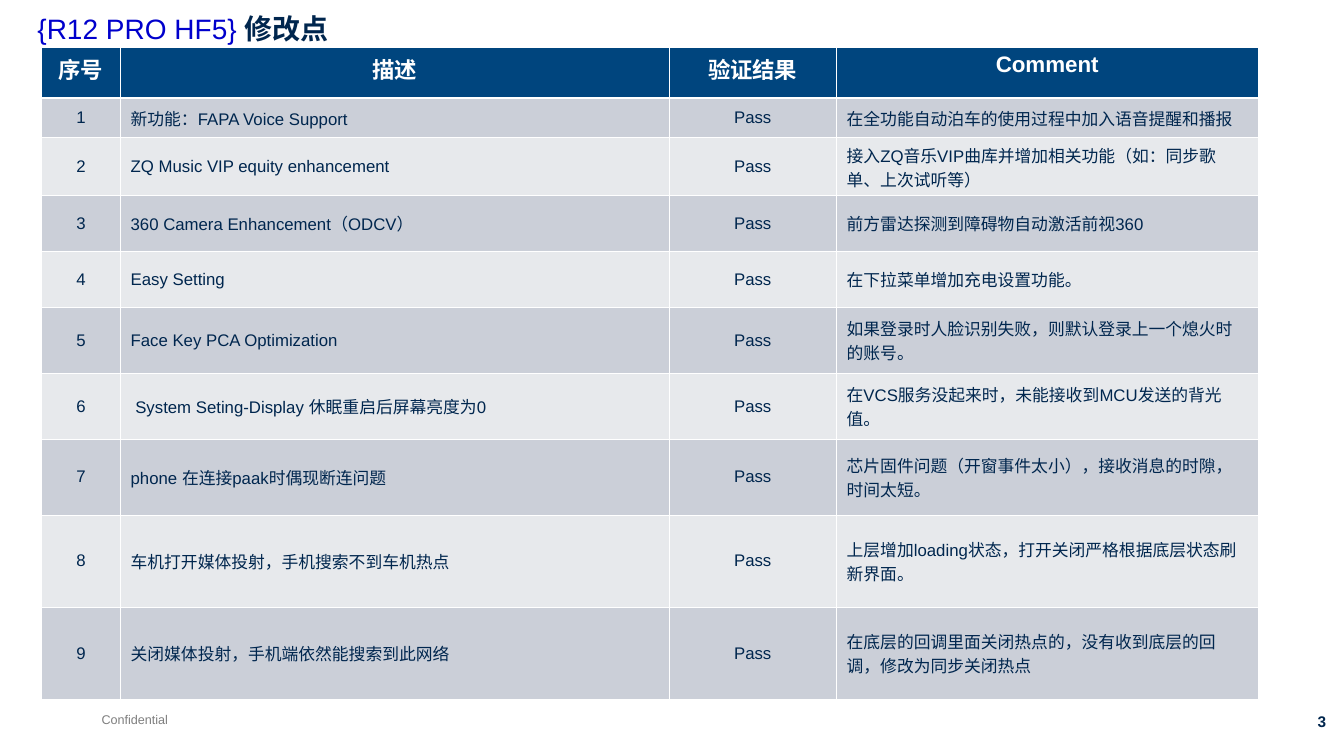
from pptx import Presentation
from pptx.dml.color import RGBColor
from pptx.enum import text as t
from pptx.oxml import parse_xml
from pptx.oxml import ns
from pptx.util import Cm, Pt

HUES = {"navy": "00264E", "blue": "0000CC", "head": "00457E", "odd": "CBCFD8",
        "even": "E7E9EC", "white": "FFFFFF", "gray": "7F7F7F"}
LEFT, MID, RIGHT = t.PP_ALIGN.LEFT, t.PP_ALIGN.CENTER, t.PP_ALIGN.RIGHT
HEADS = ["序号", "描述", "验证结果", "Comment"]
ITEMS = [
    ("新功能：FAPA Voice Support", "在全功能自动泊车的使用过程中加入语音提醒和播报"),
    ("ZQ Music VIP equity enhancement", "接入ZQ音乐VIP曲库并增加相关功能（如：同步歌单、上次试听等）"),
    ("360 Camera Enhancement（ODCV）", "前方雷达探测到障碍物自动激活前视360"),
    ("Easy Setting", "在下拉菜单增加充电设置功能。"),
    ("Face Key PCA Optimization", "如果登录时人脸识别失败，则默认登录上一个熄火时的账号。"),
    (" System Seting-Display 休眠重启后屏幕亮度为0", "在VCS服务没起来时，未能接收到MCU发送的背光值。"),
    ("phone 在连接paak时偶现断连问题", "芯片固件问题（开窗事件太小），接收消息的时隙，时间太短。"),
    ("车机打开媒体投射，手机搜索不到车机热点", "上层增加loading状态，打开关闭严格根据底层状态刷新界面。"),
    ("关闭媒体投射，手机端依然能搜索到此网络", "在底层的回调里面关闭热点的，没有收到底层的回调，修改为同步关闭热点"),
]
COLS = [2.0, 13.82, 4.23, 10.62]
ROWS = [1.28, 1.0, 1.46, 1.41, 1.4, 1.67, 1.65, 1.92, 2.32, 2.32]


def write(para, words, size, hue, bold=False):
    """Add one styled run to a paragraph."""
    run = para.add_run()
    run.text = words
    font = run.font
    font.name, font.size, font.bold = "Arial", Pt(size), bold
    font.color.rgb = RGBColor.from_string(HUES[hue])


def edge(cell, side, width):
    """Draw one white cell border."""
    cell._tc.get_or_add_tcPr().append(parse_xml(
        f'<a:ln{side} {ns.nsdecls("a")} w="{Pt(width)}"><a:solidFill>'
        f'<a:srgbClr val="{HUES["white"]}"/></a:solidFill></a:ln{side}>'))


def title(slide, box):
    """Fill the title placeholder in the given box."""
    shape = slide.shapes.title
    shape.left, shape.top, shape.width, shape.height = map(Cm, box)
    frame = shape.text_frame
    frame.auto_size = t.MSO_AUTO_SIZE.NONE
    frame.vertical_anchor = t.MSO_ANCHOR.TOP
    para = frame.paragraphs[0]
    para.alignment, para.line_spacing = LEFT, 0.9
    write(para, "{R12 PRO HF5} ", 20, "blue")
    write(para, "修改点", 20, "navy", True)


def grid(slide, box):
    """Place the table of changes in the given box."""
    data = [HEADS] + [(str(n), item, "Pass", note)
                      for n, (item, note) in enumerate(ITEMS, 1)]
    table = slide.shapes.add_table(len(data), len(COLS), *map(Cm, box)).table
    for col, width in zip(table.columns, COLS):
        col.width = Cm(width)
    for r, (row, height) in enumerate(zip(table.rows, ROWS)):
        row.height = Cm(height)
        fill = "head" if r == 0 else "odd" if r % 2 else "even"
        for c, cell in enumerate(row.cells):
            for side, thick in (("L", False), ("R", False), ("T", r == 1), ("B", r == 0)):
                edge(cell, side, 1.47 if thick else 0.45)
            cell.fill.solid()
            cell.fill.fore_color.rgb = RGBColor.from_string(HUES[fill])
            cell.vertical_anchor = t.MSO_ANCHOR.MIDDLE if r else t.MSO_ANCHOR.TOP
            para = cell.text_frame.paragraphs[0]
            para.alignment = LEFT if r and c in (1, 3) else MID
            para._p.get_or_add_pPr().set("hangingPunct", "0")
            style = (12, "navy") if r else (16, "white", True)
            write(para, data[r][c], *style)


def label(slide, box, words, align, *style):
    """Place one line of footer text in the given box."""
    frame = slide.shapes.add_textbox(*map(Cm, box)).text_frame
    frame.word_wrap = False
    para = frame.paragraphs[0]
    para.alignment = align
    write(para, words, *style)


def main():
    """Build and save the slide."""
    deck = Presentation()
    deck.slide_width, deck.slide_height = Cm(33.88), Cm(19.05)
    slide = deck.slides.add_slide(deck.slide_layouts[5])
    label(slide, (2.31, 17.81, 2.18, 0.64), "Confidential", LEFT, 9, "gray")
    label(slide, (31.29, 17.81, 2.39, 0.74), "3", RIGHT, 11, "navy", True)
    title(slide, (0.69, 0.25, 30.1, 1.6))
    grid(slide, (1.04, 1.19, sum(COLS), sum(ROWS)))
    deck.save("out.pptx")


if __name__ == "__main__":
    main()
